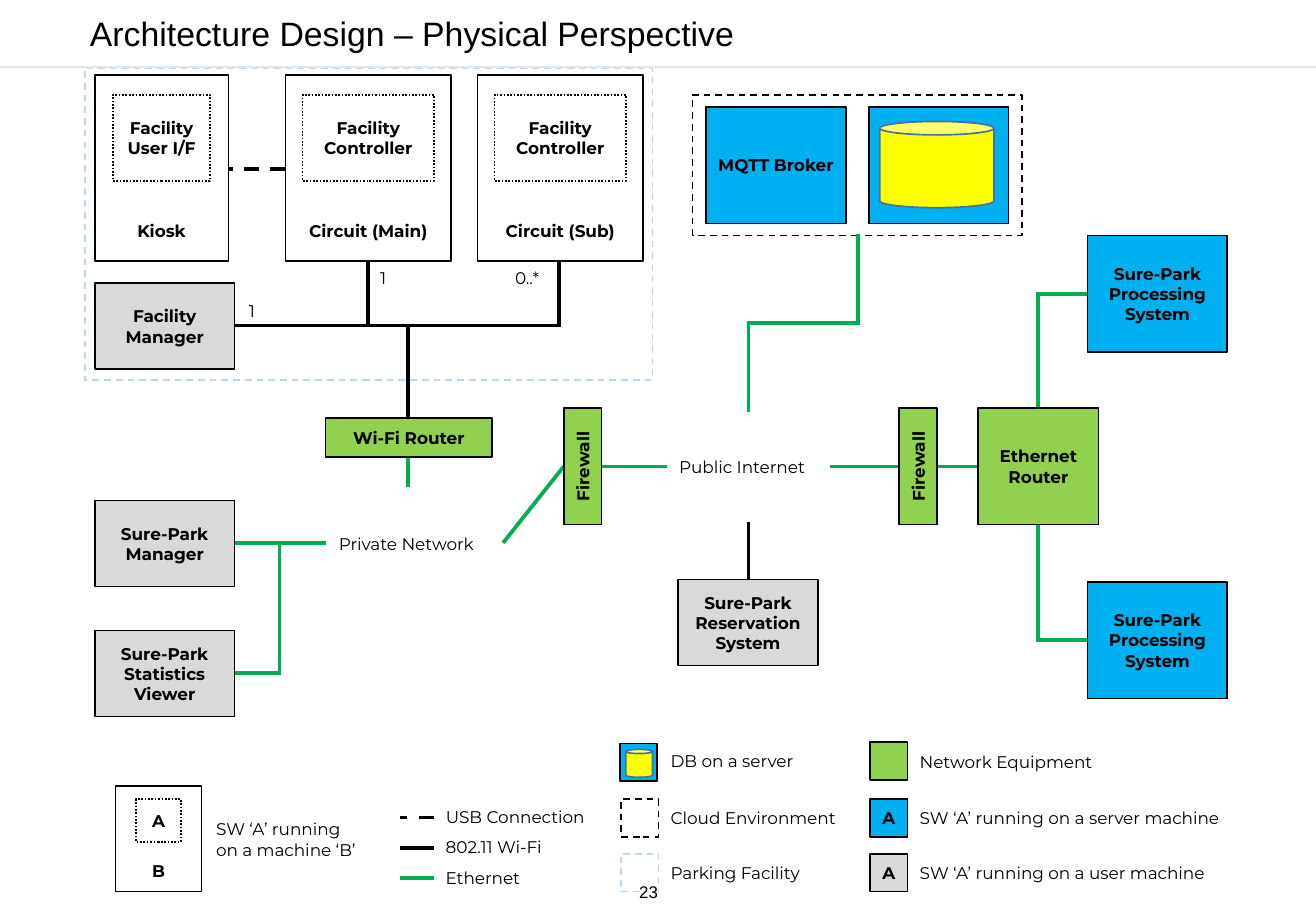
from lxml import etree
from pptx import Presentation
from pptx.dml.color import RGBColor
from pptx.enum.dml import MSO_LINE
from pptx.enum.shapes import MSO_CONNECTOR, MSO_SHAPE
from pptx.enum.text import MSO_ANCHOR, PP_ALIGN
from pptx.oxml.ns import qn
from pptx.util import Inches, Pt

RECTANGLE, CAN = MSO_SHAPE.RECTANGLE, MSO_SHAPE.CAN
STRAIGHT = MSO_CONNECTOR.STRAIGHT
DASH, DOT = MSO_LINE.DASH, MSO_LINE.ROUND_DOT
MIDDLE, BOTTOM = MSO_ANCHOR.MIDDLE, MSO_ANCHOR.BOTTOM
LEFT, CENTER = PP_ALIGN.LEFT, PP_ALIGN.CENTER

COLORS = {
    "black": "000000", "white": "FFFFFF", "rule": "E7E6E6",
    "parking": "BDD7EE", "server": "00B0F0", "user": "D9D9D9",
    "network": "92D050", "ethernet": "00B050",
    "database": "FFFF00", "database_edge": "43739E",
}

presentation = Presentation()
presentation.slide_width = Inches(10.83)
presentation.slide_height = Inches(7.5)
slide = presentation.slides.add_slide(presentation.slide_layouts[6])


def write(shape, text, align=LEFT, bold=False, anchor=MIDDLE, size=10,
          font="Montserrat", wrap=False, inset=0.1, bottom=0.05):
    frame = shape.text_frame
    frame.word_wrap = wrap
    frame.vertical_anchor = anchor
    frame.margin_left = frame.margin_right = Inches(inset)
    frame.margin_top, frame.margin_bottom = Inches(0.05), Inches(bottom)
    for index, line in enumerate(text.split("\n")):
        paragraph = frame.add_paragraph() if index else frame.paragraphs[0]
        paragraph.alignment = align
        run = paragraph.add_run()
        run.text = line
        run.font.name = font
        run.font.size = Pt(size)
        run.font.bold = bold
        run.font.color.rgb = RGBColor.from_string(COLORS["black"])


def add_box(left, top, width, height, fill=None, text="", edge="black",
            dash=None, kind=RECTANGLE, anchor=MIDDLE, bottom=0.05):
    shape = slide.shapes.add_shape(
        kind, Inches(left), Inches(top), Inches(width), Inches(height))
    shape.shadow.inherit = False
    if fill:
        shape.fill.solid()
        shape.fill.fore_color.rgb = RGBColor.from_string(COLORS[fill])
    else:
        shape.fill.background()
    shape.line.color.rgb = RGBColor.from_string(COLORS[edge])
    shape.line.width = Pt(1)
    if dash:
        shape.line.dash_style = dash
    if kind == CAN:
        shape.adjustments[0] = 0.156
    if text:
        write(shape, text, CENTER, True, anchor, wrap=True, inset=0.05, bottom=bottom)
    return shape


add_box(0.7, 0.56, 4.67, 2.57, edge="parking", dash=DASH)
add_box(5.7, 0.78, 2.71, 1.16, dash=DASH)

routes = [
    ("rule", 1, None, [(0, 0.55), (10.83, 0.55)]),
    ("black", 2.25, DASH, [(2.35, 1.39), (1.88, 1.39)]),
    ("black", 2.25, None, [(3.36, 3.44), (3.36, 2.68), (3.03, 2.68), (3.03, 2.15)]),
    ("black", 2.25, None, [(3.36, 2.68), (4.6, 2.68), (4.6, 2.15)]),
    ("black", 2.25, None, [(3.03, 2.68), (1.93, 2.68)]),
    ("black", 2.25, None, [(6.16, 4.77), (6.16, 4.3)]),
    ("ethernet", 2.25, None, [(3.36, 4.01), (3.36, 3.76)]),
    ("ethernet", 2.25, None, [(2.68, 4.47), (1.93, 4.47)]),
    ("ethernet", 2.25, None, [(1.93, 5.54), (2.3, 5.54), (2.3, 4.47)]),
    ("ethernet", 2.25, None, [(4.64, 3.84), (4.14, 4.47)]),
    ("ethernet", 2.25, None, [(5.49, 3.84), (4.95, 3.84)]),
    ("ethernet", 2.25, None, [(6.16, 3.38), (6.16, 2.66), (7.06, 2.66), (7.06, 1.94)]),
    ("ethernet", 2.25, None, [(7.4, 3.84), (6.83, 3.84)]),
    ("ethernet", 2.25, None, [(8.05, 3.84), (7.71, 3.84)]),
    ("ethernet", 2.25, None, [(8.54, 3.36), (8.54, 2.42), (8.95, 2.42)]),
    ("ethernet", 2.25, None, [(8.54, 4.32), (8.54, 5.27), (8.95, 5.27)]),
    ("black", 2.25, DASH, [(3.57, 6.73), (3.29, 6.73)]),
    ("black", 2.25, None, [(3.57, 6.98), (3.29, 6.98)]),
    ("ethernet", 2.25, None, [(3.57, 7.23), (3.29, 7.23)]),
]
for color, weight, dash, points in routes:
    for (x1, y1), (x2, y2) in zip(points, points[1:]):
        connector = slide.shapes.add_connector(
            STRAIGHT, Inches(x1), Inches(y1), Inches(x2), Inches(y2))
        connector.line.color.rgb = RGBColor.from_string(COLORS[color])
        connector.line.width = Pt(weight)
        if dash:
            connector.line.dash_style = dash
        properties = connector.element.spPr
        if len(points) > 2:
            properties.find(qn("a:ln")).set("cap", "sq")
        etree.SubElement(properties, qn("a:effectLst"))

machines = [
    (0.78, 1.1, "Kiosk", 0.8, "Facility\nUser I/F"),
    (2.35, 1.36, "Circuit (Main)", 1.08, "Facility\nController"),
    (3.93, 1.36, "Circuit (Sub)", 1.08, "Facility\nController"),
]
for left, width, machine, software_width, software in machines:
    add_box(left, 0.62, width, 1.53, "white", machine, anchor=BOTTOM, bottom=0.17)
    add_box(left + (width - software_width) / 2, 0.78, software_width, 0.71,
            "white", software, dash=DOT)

nodes = [
    (0.78, 2.33, 1.15, 0.71, "user", "Facility Manager"),
    (0.78, 4.12, 1.15, 0.71, "user", "Sure-Park\nManager"),
    (0.78, 5.19, 1.15, 0.71, "user", "Sure-Park Statistics Viewer"),
    (5.58, 4.77, 1.15, 0.71, "user", "Sure-Park Reservation System"),
    (5.81, 0.88, 1.15, 0.96, "server", "MQTT Broker"),
    (7.15, 0.88, 1.15, 0.96, "server", ""),
    (8.95, 1.94, 1.15, 0.96, "server", "Sure-Park Processing System"),
    (8.95, 4.79, 1.15, 0.96, "server", "Sure-Park Processing System"),
    (2.68, 3.44, 1.37, 0.32, "network", "Wi-Fi Router"),
    (8.05, 3.36, 0.99, 0.96, "network", "Ethernet Router"),
]
for node in nodes:
    add_box(*node)

for left in (4.64, 7.4):
    firewall = add_box(left, 3.36, 0.31, 0.96, "network", "Firewall")
    firewall.text_frame._txBody.bodyPr.set("vert", "vert270")

add_box(0.95, 6.47, 0.71, 0.87, "white", "B", anchor=BOTTOM, bottom=0.09)
add_box(1.12, 6.58, 0.37, 0.35, "white", "A", dash=DOT)

legend_keys = [
    (5.1, 6.12, "server", "", "black", None),
    (5.11, 6.58, None, "", "black", DASH),
    (5.11, 7.03, None, "", "parking", DASH),
    (7.16, 6.11, "network", "", "black", None),
    (7.16, 6.58, "server", "A", "black", None),
    (7.16, 7.03, "user", "A", "black", None),
]
for left, top, fill, letter, edge, dash in legend_keys:
    add_box(left, top, 0.31, 0.31, fill, letter, edge, dash)

for database in [(7.24, 1, 0.94, 0.71), (5.15, 6.17, 0.22, 0.23)]:
    add_box(*database, "database", edge="database_edge", kind=CAN)

labels = [
    (3.03, 2.15, 0.29, 0.27, "1"),
    (4.14, 2.15, 0.47, 0.27, "0..*"),
    (1.95, 2.42, 0.29, 0.27, "1"),
    (5.49, 3.71, 1.34, 0.27, "Public Internet"),
    (2.69, 4.34, 1.45, 0.27, "Private Network"),
    (1.68, 6.69, 1.46, 0.44, "SW ‘A’ running\non a machine ‘B’"),
    (3.57, 6.59, 1.45, 0.27, "USB Connection"),
    (3.57, 6.84, 1.14, 0.27, "802.11 Wi-Fi"),
    (3.57, 7.09, 0.86, 0.27, "Ethernet"),
    (5.42, 6.13, 1.32, 0.27, "DB on a server"),
    (5.42, 6.6, 1.65, 0.27, "Cloud Environment"),
    (5.42, 7.05, 1.4, 0.27, "Parking Facility"),
    (7.47, 6.14, 1.76, 0.27, "Network Equipment"),
    (7.47, 6.6, 2.9, 0.27, "SW ‘A’ running on a server machine"),
    (7.47, 7.05, 2.75, 0.27, "SW ‘A’ running on a user machine"),
]
for left, top, width, height, text in labels:
    label = slide.shapes.add_textbox(
        Inches(left), Inches(top), Inches(width), Inches(height))
    write(label, text)

title = slide.shapes.add_textbox(Inches(0.14), Inches(0.05), Inches(10.47), Inches(0.45))
write(title, "Architecture Design – Physical Perspective",
      size=20, font="Arial", wrap=True, inset=0.6)
page_number = slide.shapes.add_textbox(
    Inches(5.22), Inches(7.22), Inches(0.25), Inches(0.25))
write(page_number, "23", font="Arial", inset=0.04)

presentation.save("out.pptx")
